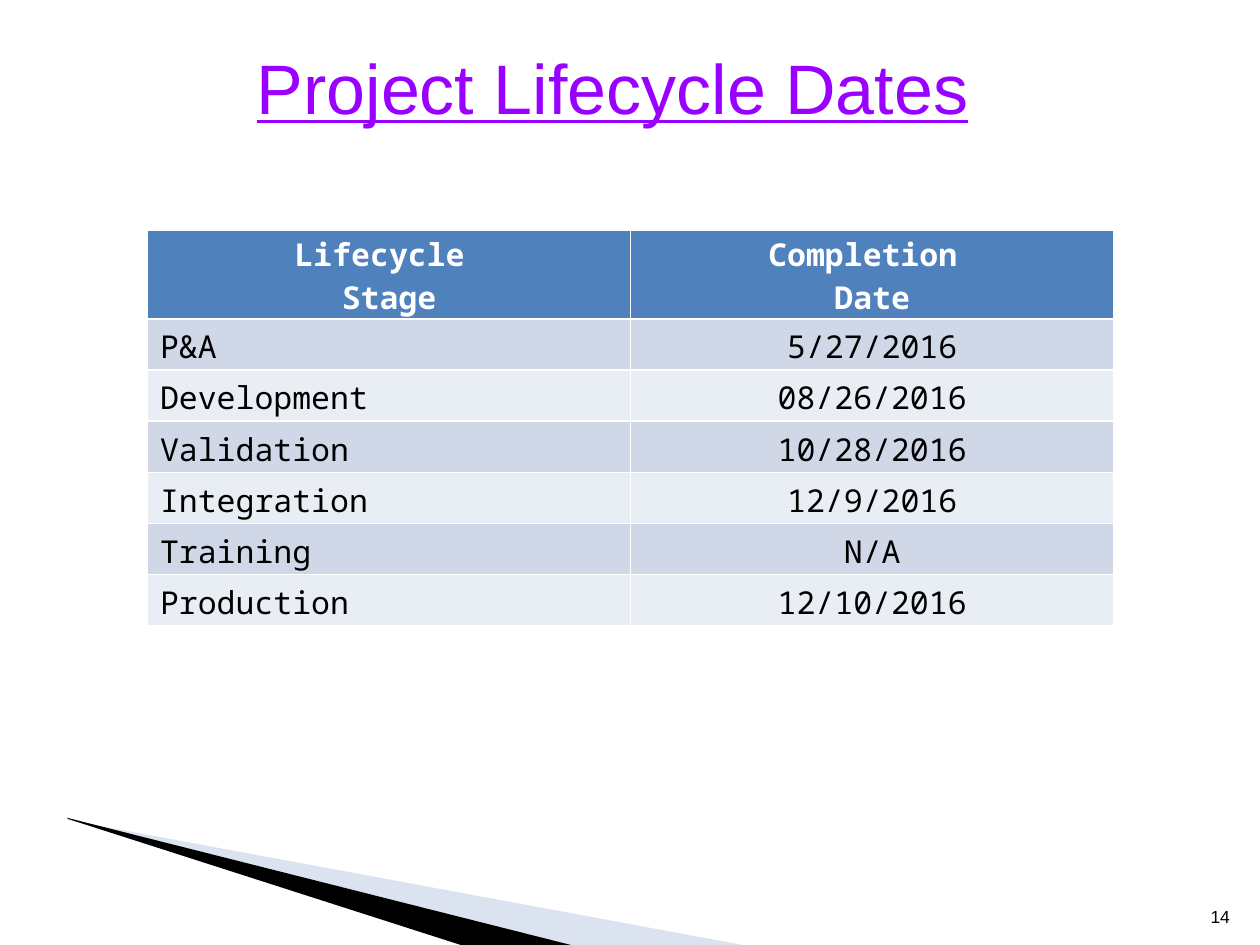
from lxml import etree
from pptx import Presentation
from pptx.dml.color import RGBColor
from pptx.enum.text import MSO_ANCHOR, PP_ALIGN
from pptx.oxml.ns import qn
from pptx.util import Inches, Pt

LEFT, CENTER, RIGHT = PP_ALIGN.LEFT, PP_ALIGN.CENTER, PP_ALIGN.RIGHT
TOP, BOTTOM = MSO_ANCHOR.TOP, MSO_ANCHOR.BOTTOM

BLACK = RGBColor(0x00, 0x00, 0x00)
WHITE = RGBColor(0xFF, 0xFF, 0xFF)
PURPLE = RGBColor(0x99, 0x00, 0xFF)
PALE_BLUE = RGBColor(0xA6, 0xB9, 0xDB)
HEADER_BLUE = RGBColor(0x4F, 0x81, 0xBD)
BANDS = [RGBColor(0xD0, 0xD8, 0xE8), RGBColor(0xE9, 0xED, 0xF4)]

TITLE = "Project Lifecycle Dates"
PAGE_NUMBER = "14"
HEADER = ["Lifecycle \nStage", "Completion \nDate"]
STAGES = [
    ("P&A", "5/27/2016"),
    ("Development", "08/26/2016"),
    ("Validation", "10/28/2016"),
    ("Integration", "12/9/2016"),
    ("Training", "N/A"),
    ("Production", "12/10/2016"),
]
# Corner wedges: outline points in inches, colour, opacity in percent
WEDGES = [
    ([(0.55, 6.51), (5.95, 7.51), (4.56, 7.51), (0.55, 6.5)], PALE_BLUE, 40),
    ([(0.53, 6.49), (4.57, 7.51), (3.72, 7.52), (0.54, 6.5)], BLACK, 100),
]

TITLE_FONT = {"name": "Arial", "size": Pt(40), "underline": True, "bold": False}
NUMBER_FONT = {"name": "Arial", "size": Pt(10)}
HEADER_FONT = {"name": "Noto Sans Mono", "size": Pt(18), "bold": True}
BODY_FONT = {**HEADER_FONT, "bold": False}

TABLE_LEFT, TABLE_TOP, TABLE_WIDTH = 1.17, 1.83, 7.67
HEADER_HEIGHT, TABLE_HEIGHT = 0.7, 3.14


def write(frame, text, font, color, alignment):
    frame.text = text
    for paragraph in frame.paragraphs:
        paragraph.alignment = alignment
        for run in paragraph.runs:
            run.font.color.rgb = color
            for name, value in font.items():
                setattr(run.font, name, value)


def place(shape, left, top, width, height):
    shape.left, shape.top = Inches(left), Inches(top)
    shape.width, shape.height = Inches(width), Inches(height)


def add_wedge(slide, points, color, opacity):
    corners = [(Inches(x), Inches(y)) for x, y in points]
    builder = slide.shapes.build_freeform(*corners[0])
    builder.add_line_segments(corners[1:], close=True)
    shape = builder.convert_to_shape()
    shape.shadow.inherit = False
    shape.line.fill.background()
    shape.fill.solid()
    shape.fill.fore_color.rgb = color
    if opacity < 100:
        fill_color = shape.fill._xPr.find(".//" + qn("a:srgbClr"))
        etree.SubElement(fill_color, qn("a:alpha"), val=str(opacity * 1000))


def add_stage_table(slide):
    rows = [HEADER, *STAGES]
    table = slide.shapes.add_table(
        len(rows), len(HEADER), Inches(TABLE_LEFT), Inches(TABLE_TOP),
        Inches(TABLE_WIDTH), Inches(TABLE_HEIGHT)).table
    body_height = (TABLE_HEIGHT - HEADER_HEIGHT) / len(STAGES)
    for row_index, texts in enumerate(rows):
        is_header = row_index == 0
        table.rows[row_index].height = Inches(HEADER_HEIGHT if is_header else body_height)
        for column_index, text in enumerate(texts):
            cell = table.cell(row_index, column_index)
            # Tight margins keep the tall mono lines inside the row heights
            cell.margin_top = Inches(0.02 if is_header else 0.05)
            cell.margin_bottom = 0
            cell.fill.solid()
            cell.fill.fore_color.rgb = HEADER_BLUE if is_header else BANDS[(row_index - 1) % 2]
            write(cell.text_frame, text,
                  HEADER_FONT if is_header else BODY_FONT,
                  WHITE if is_header else BLACK,
                  CENTER if is_header or column_index == 1 else LEFT)


def main():
    presentation = Presentation()
    presentation.slide_width, presentation.slide_height = Inches(10), Inches(7.5)
    slide = presentation.slides.add_slide(presentation.slide_layouts[5])

    for points, color, opacity in WEDGES:
        add_wedge(slide, points, color, opacity)

    number = slide.shapes.add_textbox(Inches(9.46), Inches(7.01), Inches(0.4), Inches(0.4))
    number.text_frame.word_wrap = True
    number.text_frame.vertical_anchor = BOTTOM
    write(number.text_frame, PAGE_NUMBER, NUMBER_FONT, BLACK, RIGHT)

    add_stage_table(slide)

    title = slide.shapes.title
    place(title, 0.72, 0.3, 8.28, 0.77)
    title.text_frame.vertical_anchor = TOP
    write(title.text_frame, TITLE, TITLE_FONT, PURPLE, CENTER)

    presentation.save("out.pptx")


if __name__ == "__main__":
    main()
